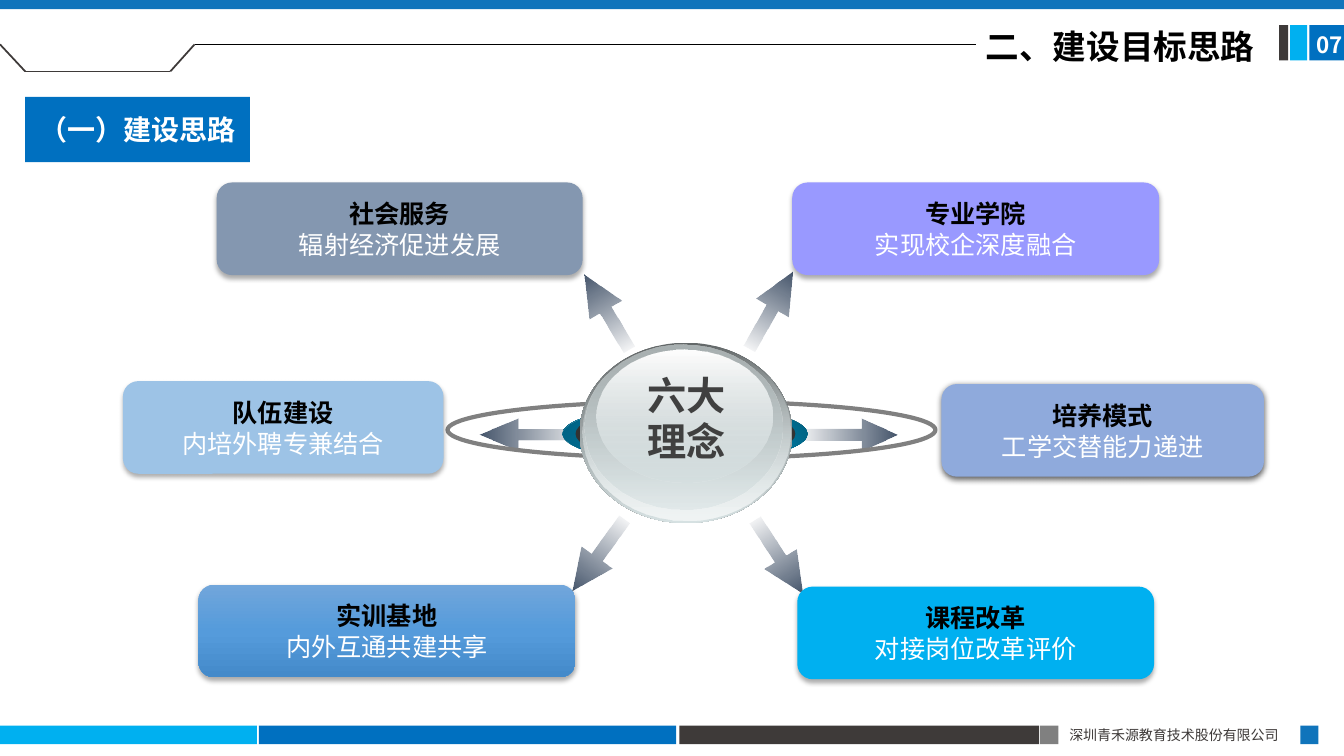
"""Build the slide on six guiding ideas around a central globe."""
from lxml import etree
from pptx import Presentation
from pptx.dml.color import RGBColor
from pptx.enum.shapes import MSO_CONNECTOR, MSO_SHAPE
from pptx.enum.text import MSO_ANCHOR, PP_ALIGN
from pptx.oxml.ns import qn
from pptx.util import Pt

RECT, ROUND = MSO_SHAPE.RECTANGLE, MSO_SHAPE.ROUNDED_RECTANGLE
OVAL, ARROW = MSO_SHAPE.OVAL, MSO_SHAPE.RIGHT_ARROW
LINE = MSO_CONNECTOR.STRAIGHT
MIDDLE = MSO_ANCHOR.MIDDLE
LEFT, CENTER, JUST = PP_ALIGN.LEFT, PP_ALIGN.CENTER, PP_ALIGN.JUSTIFY
NOTO = "Noto Sans CJK SC"

BLACK = RGBColor(0x00, 0x00, 0x00)
WHITE = RGBColor(0xFF, 0xFF, 0xFF)
COAL = RGBColor(0x3E, 0x3A, 0x39)
DARK = RGBColor(0x33, 0x33, 0x33)
INK = RGBColor(0x40, 0x40, 0x40)
GREY = RGBColor(0x80, 0x80, 0x80)
BLUE = RGBColor(0x00, 0x70, 0xC0)
BAR = RGBColor(0x10, 0x74, 0xBB)
CYAN = RGBColor(0x00, 0xB0, 0xF0)
SLATE = RGBColor(0x84, 0x97, 0xB0)
LILAC = RGBColor(0x99, 0x99, 0xFF)
SKY = RGBColor(0x9D, 0xC3, 0xE6)
IRIS = RGBColor(0x8F, 0xAA, 0xDC)
DUSK, STEEL = RGBColor(0x41, 0x50, 0x65), RGBColor(0x44, 0x54, 0x6A)
AQUA, TEAL = RGBColor(0x93, 0xD4, 0xE9), RGBColor(0x00, 0x99, 0xCC)
DEEP, PINE = RGBColor(0x00, 0x53, 0x6E), RGBColor(0x00, 0x61, 0x82)
LEAD, SILVER = RGBColor(0x63, 0x68, 0x69), RGBColor(0xAA, 0xB2, 0xB3)
MIST, PALE = RGBColor(0xD6, 0xE1, 0xE2), RGBColor(0xF1, 0xF5, 0xF5)
AZURE = (90, [(0, RGBColor(0x71, 0xA6, 0xDB), 100),
              (50, RGBColor(0x55, 0x9B, 0xDB), 100),
              (100, RGBColor(0x44, 0x8A, 0xCA), 100)])
FADE = (0, [(0, DUSK, 0), (100, STEEL, 100)])

deck = Presentation()
deck.slide_width, deck.slide_height = Pt(960), Pt(540)
slide = deck.slides.add_slide(deck.slide_layouts[6])
shapes = slide.shapes


def draw(kind, box, fill=None):
    """Add a shape with no outline; fill is a colour, (angle, stops) or None."""
    item = shapes.add_shape(kind, *map(Pt, box))
    item.shadow.inherit = False
    item.line.fill.background()
    if isinstance(fill, RGBColor):
        item.fill.solid()
        item.fill.fore_color.rgb = fill
        return item
    item.fill.background()
    if fill:
        angle, stops = fill
        grad = etree.Element(qn("a:gradFill"), rotWithShape="1")
        row = etree.SubElement(grad, qn("a:gsLst"))
        for pos, color, alpha in stops:
            stop = etree.SubElement(row, qn("a:gs"), pos=str(pos * 1000))
            tint = etree.SubElement(stop, qn("a:srgbClr"), val=str(color))
            etree.SubElement(tint, qn("a:alpha"), val=str(alpha * 1000))
        etree.SubElement(grad, qn("a:lin"), ang=str(angle * 60000), scaled="0")
        props = item.element.spPr
        props.replace(props.find(qn("a:noFill")), grad)
    return item


def write(item, lines, size, align=CENTER, pitch=None, face=NOTO, wrap=True):
    """Fill a shape with one paragraph per (text, colour, bold) line."""
    frame = item.text_frame
    frame.word_wrap = wrap
    frame.vertical_anchor = MIDDLE
    for i, (text, color, bold) in enumerate(lines):
        para = frame.add_paragraph() if i else frame.paragraphs[0]
        para.alignment = align
        if pitch:
            para.line_spacing = Pt(pitch)
        run = para.add_run()
        run.text = text
        font = run.font
        font.name, font.size, font.bold = face, Pt(size), bold
        font.color.rgb = color
        etree.SubElement(run._r.get_or_add_rPr(), qn("a:ea"), typeface=NOTO)


for x, width, color in [(0, 183.6, CYAN), (185, 298, BLUE), (485.3, 257, COAL),
                        (743, 13, GREY), (928.8, 13, BAR)]:
    draw(RECT, (x, 518.4, width, 13.2), color)
for x, width, color in [(935.3, 24.7, BLUE), (921.6, 12.2, CYAN), (913.7, 6.5, COAL)]:
    draw(RECT, (x, 18, width, 25.2), color)
draw(RECT, (0, 0, 960, 6.5), BAR)

for x1, y1, x2, y2, color, width in [
        (18, 51, 121.7, 51, COAL, 1.25), (121.7, 51, 139, 31.7, COAL, 1.25),
        (18, 51, 0, 31.7, COAL, 1.25), (139, 31.7, 697, 31.7, BLACK, 0.5)]:
    rule = shapes.add_connector(LINE, Pt(x1), Pt(y1), Pt(x2), Pt(y2))
    rule.line.color.rgb = color
    rule.line.width = Pt(width)
    etree.SubElement(rule.element.spPr, qn("a:effectLst"))

for box, text, color, bold, size, align, pitch in [
        ((756.7, 515.5, 172.8, 19.4), "深圳青禾源教育技术股份有限公司", COAL, False, 10, JUST, None),
        ((933.1, 18.7, 36, 26.6), "07", WHITE, True, 16, LEFT, None),
        ((697, 15.1, 214.6, 36), "二、建设目标思路", BLACK, True, 24, LEFT, 28)]:
    label = shapes.add_textbox(*map(Pt, box))
    write(label, [(text, color, bold)], size, align, pitch)

for x, y, width, height, turn, head in [
        (519.1, 208.1, 62.6, 26.6, 299.6, 1.11), (524.9, 384.5, 62.6, 26.6, 57.8, 1.11),
        (401.8, 209.5, 62.6, 26.6, 239.5, 1.11), (396, 383, 62.6, 26.6, 125.6, 1.11),
        (567.4, 298.8, 73.4, 23, 0, 1.11), (342.7, 298.8, 80.6, 23, 180, 1.21)]:
    arrow = draw(ARROW, (x, y, width, height), FADE)
    arrow.adjustments[0], arrow.adjustments[1] = 0.35, head
    arrow.rotation = turn

ring = draw(OVAL, (319.7, 286.6, 348.5, 41))
ring.line.color.rgb = GREY
ring.line.width = Pt(3)

for box, fill in [
        ((478.8, 289.4, 20.2, 41), (45, [(0, AQUA, 100), (50, TEAL, 100), (100, AQUA, 100)])),
        ((401.8, 289.4, 175, 41), (315, [(0, DEEP, 100), (50, TEAL, 100), (100, DEEP, 100)])),
        ((401.8, 289.4, 175, 41), (45, [(0, PINE, 100), (100, TEAL, 0)])),
        ((411.1, 289.4, 157, 41), DARK),
        ((414, 244.8, 151.9, 128.9), (90, [(0, LEAD, 100), (100, MIST, 100)])),
        ((416.2, 245.5, 148.3, 126), (90, [(0, MIST, 0), (100, PALE, 100)])),
        ((417.6, 246.2, 141.1, 117.4), (90, [(0, SILVER, 100), (100, MIST, 48)])),
        ((426.2, 249.8, 125.3, 95), (90, [(0, WHITE, 100), (100, MIST, 38)]))]:
    draw(OVAL, box, fill)
core = shapes.add_textbox(Pt(431.3), Pt(261.4), Pt(118.1), Pt(74.9))
write(core, [("六大", INK, True), ("理念", INK, True)], 28, pitch=33)

SOFT, HARD = (32, 3.5, 2.2), (63, 4.5, 1.5)
for x, y, width, fill, shade, head, note in [
        (672.5, 274.3, 230.4, IRIS, HARD, "培养模式", "工学交替能力递进"),
        (154.8, 130.3, 261.4, SLATE, SOFT, "社会服务", "辐射经济促进发展"),
        (141.8, 417.6, 269.3, AZURE, SOFT, "实训基地", "内外互通共建共享"),
        (569.5, 419, 254.9, CYAN, SOFT, "课程改革", "对接岗位改革评价"),
        (565.9, 130.3, 262.1, LILAC, SOFT, "专业学院", "实现校企深度融合"),
        (87.8, 272.2, 229, SKY, SOFT, "队伍建设", "内培外聘专兼结合")]:
    card = draw(ROUND, (x, y, width, 66.2), fill)
    alpha, blur, drop = shade
    glow = etree.SubElement(card.element.spPr.find(qn("a:effectLst")), qn("a:outerShdw"),
                            blurRad=str(Pt(blur)), dist=str(Pt(drop)), dir="5400000",
                            algn="ctr", rotWithShape="0")
    tone = etree.SubElement(glow, qn("a:srgbClr"), val=str(BLACK))
    etree.SubElement(tone, qn("a:alpha"), val=str(alpha * 1000))
    write(card, [(head, BLACK, True), (note, WHITE, False)], 18, pitch=22, wrap=False)

title = draw(RECT, (18, 69.1, 160.6, 46.8), BLUE)
write(title, [("（一）建设思路", WHITE, True)], 20, face="Calibri")

deck.save("out.pptx")
